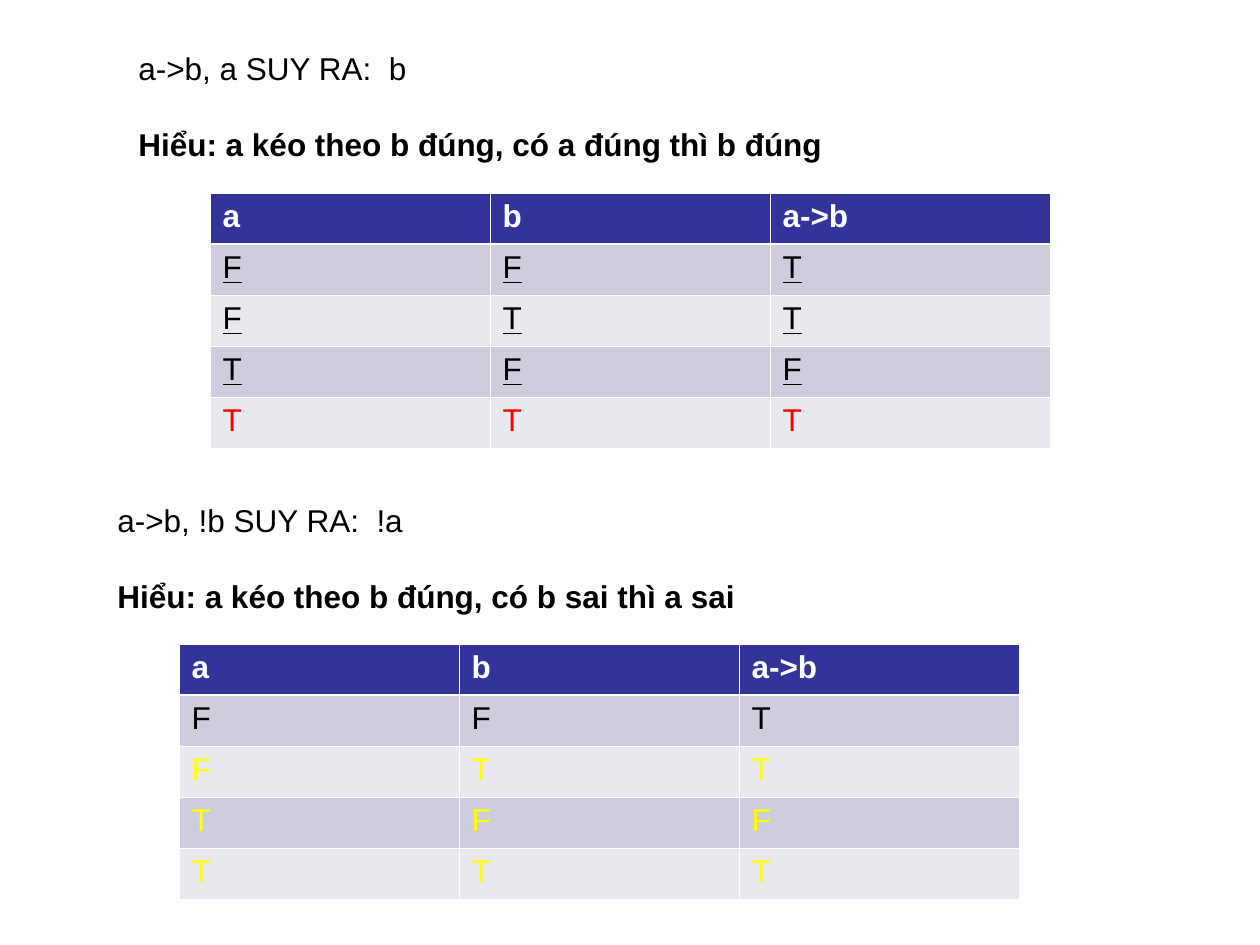
"""Build a slide with two inference rules and their truth tables."""
from lxml.etree import SubElement
from pptx import Presentation
from pptx.dml.color import RGBColor
from pptx.enum.text import MSO_AUTO_SIZE
from pptx.oxml.ns import qn
from pptx.util import Emu, Pt

COLORS = {
    "black": "000000",
    "white": "FFFFFF",
    "red": "FF0000",
    "yellow": "FFFF00",
    "header": "333399",
    "odd": "CDCDDE",
    "even": "E8E8EF",
}
HEADER = ("a", "b", "a->b")
TRUTH = ("FFT", "FTT", "TFF", "TTT")


class LogicSlide:
    FONT = "Arial"
    SIZE = 18
    SCALE = 914400 // 126
    COLUMN, ROW = 280, 51
    THIN, THICK = 0.45, 1.47

    def __init__(self, prs):
        self.s = prs.slides.add_slide(prs.slide_layouts[6])

    def px(self, *lengths):
        return [Emu(n * self.SCALE) for n in lengths]

    def style(self, p, color, bold=False, underline=False):
        for r in p.runs:
            r.font.name = self.FONT
            r.font.size = Pt(self.SIZE)
            r.font.bold = bold
            r.font.underline = underline
            r.font.color.rgb = RGBColor.from_string(COLORS[color])

    def rule(self, x, y, formula, meaning):
        sp = self.s.shapes.add_textbox(*self.px(x, y, 809, 126))
        tf = sp.text_frame
        tf.word_wrap = True
        tf.auto_size = MSO_AUTO_SIZE.SHAPE_TO_FIT_TEXT
        p = tf.paragraphs[0]
        p.text = formula
        self.style(p, "black")
        p = tf.add_paragraph()
        p.text = meaning
        p.space_before = Pt(22)
        self.style(p, "black", bold=True)

    def border(self, cell, side, width):
        ln = SubElement(cell._tc.get_or_add_tcPr(), qn(f"a:{side}"), w=str(Pt(width)))
        fill = SubElement(ln, qn("a:solidFill"))
        SubElement(fill, qn("a:srgbClr"), val=COLORS["white"])

    def cell(self, cell, text, row, color, bold, underline):
        widths = {
            "lnL": self.THIN,
            "lnR": self.THIN,
            "lnT": self.THICK if row == 1 else self.THIN,
            "lnB": self.THICK if row == 0 else self.THIN,
        }
        for side, width in widths.items():
            self.border(cell, side, width)
        band = "header" if row == 0 else "odd" if row % 2 else "even"
        cell.fill.solid()
        cell.fill.fore_color.rgb = RGBColor.from_string(COLORS[band])
        p = cell.text_frame.paragraphs[0]
        p.text = text
        self.style(p, color, bold, underline)

    def truth_table(self, x, y, row_colors, underlined=()):
        rows = (HEADER, *TRUTH)
        colors = ("white", *row_colors)
        size = (len(HEADER) * self.COLUMN, len(rows) * self.ROW)
        table = self.s.shapes.add_table(
            len(rows), len(HEADER), *self.px(x, y, *size)
        ).table
        for i, (values, color) in enumerate(zip(rows, colors)):
            for j, text in enumerate(values):
                self.cell(table.cell(i, j), text, i, color, i == 0, i in underlined)


def main():
    prs = Presentation()
    prs.slide_width, prs.slide_height = (Emu(n * 914400 // 126) for n in (1260, 945))
    slide = LogicSlide(prs)
    slide.rule(
        126, 43, "a->b, a SUY RA:  b", "Hiểu: a kéo theo b đúng, có a đúng thì b đúng"
    )
    slide.truth_table(210, 193, ("black", "black", "black", "red"), (1, 2, 3))
    slide.rule(
        105, 495, "a->b, !b SUY RA:  !a", "Hiểu: a kéo theo b đúng, có b sai thì a sai"
    )
    slide.truth_table(179, 644, ("black", "yellow", "yellow", "yellow"))
    prs.save("out.pptx")


if __name__ == "__main__":
    main()
